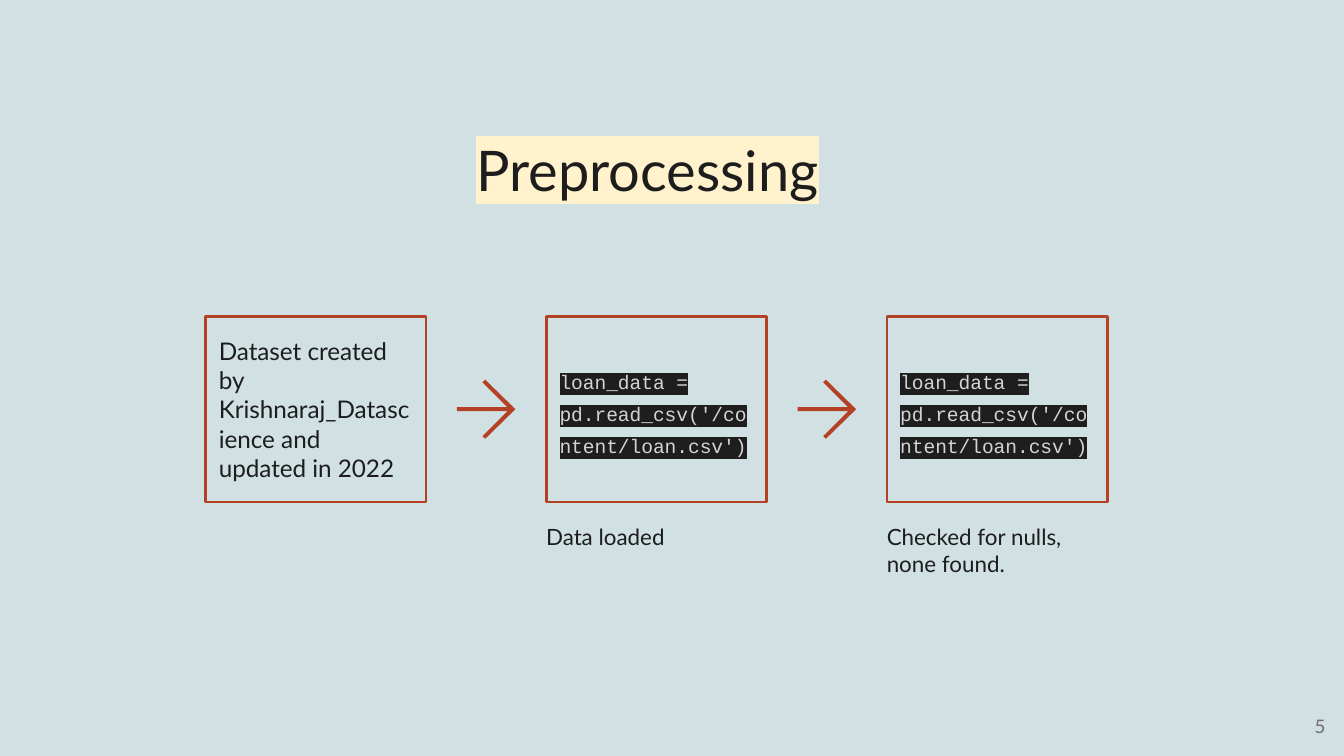
"""Build the Preprocessing slide: three boxed steps joined by arrows."""
from dataclasses import dataclass
from typing import Optional

import lxml.etree
import pptx
import pptx.dml.color
import pptx.enum.shapes
import pptx.enum.text
import pptx.oxml.ns
import pptx.util

RGBColor = pptx.dml.color.RGBColor
PX = 4572
SLIDE_WIDTH, SLIDE_HEIGHT = 2000, 1125
MARGIN = 20
BACKGROUND = RGBColor(0xD0, 0xE0, 0xE3)
ACCENT = RGBColor(0xB5, 0x41, 0x25)
INK = RGBColor(0x1D, 0x1D, 0x1D)
GREY = RGBColor(0x6F, 0x6F, 0x6F)
CODE_INK = RGBColor(0xD4, 0xD4, 0xD4)
CODE_BACK = RGBColor(0x1E, 0x1E, 0x1E)
CREAM = RGBColor(0xFF, 0xF2, 0xCC)

STEP_LEFT, STEP_TOP, STEP_PITCH = 306, 471, 507
STEP_WIDTH, STEP_HEIGHT = 328, 276
ARROW_OFFSET, ARROW_TOP = 374, 565
ARROW_POINTS = ((42, 0), (38, 4), (75, 41), (0, 41), (0, 47),
                (75, 47), (38, 84), (42, 88), (87, 44))
CAPTION_TOP, CAPTION_HEIGHT = 758, 204


@dataclass(frozen=True)
class Style:
    size: float
    color: RGBColor = INK
    font: str = "Lato"
    highlight: Optional[RGBColor] = None
    spacing: Optional[float] = None
    align: pptx.enum.text.PP_ALIGN = pptx.enum.text.PP_ALIGN.LEFT
    anchor: pptx.enum.text.MSO_ANCHOR = pptx.enum.text.MSO_ANCHOR.TOP


@dataclass(frozen=True)
class Step:
    text: str
    style: Style
    caption: str = ""


MIDDLE = pptx.enum.text.MSO_ANCHOR.MIDDLE
TITLE = Style(30, highlight=CREAM)
BODY = Style(13, anchor=MIDDLE)
CODE = Style(10.5, CODE_INK, "Courier New", CODE_BACK, 1.36, anchor=MIDDLE)
CAPTION = Style(12)
PAGE_NUMBER = Style(10, GREY, align=pptx.enum.text.PP_ALIGN.RIGHT, anchor=MIDDLE)
LOAD_CODE = "loan_data = pd.read_csv('/content/loan.csv')"
STEPS = (
    Step("Dataset created by Krishnaraj_Datascience and updated in 2022", BODY),
    Step(LOAD_CODE, CODE, "Data loaded"),
    Step(LOAD_CODE, CODE, "Checked for nulls, none found."),
)


def write(sp, text: str, style: Style) -> None:
    """Fill a shape with one styled paragraph."""
    qn = pptx.oxml.ns.qn
    tf = sp.text_frame
    tf.text = text
    tf.word_wrap = True
    tf.vertical_anchor = style.anchor
    tf.margin_left = tf.margin_right = MARGIN * PX
    tf.margin_top = tf.margin_bottom = MARGIN * PX
    p = tf.paragraphs[0]
    p.alignment = style.align
    if style.spacing:
        p.line_spacing = style.spacing
    r = p.runs[0]
    r.font.size = pptx.util.Pt(style.size)
    r.font.name = style.font
    r.font.color.rgb = style.color
    if style.highlight is not None:
        mark = lxml.etree.Element(qn("a:highlight"))
        lxml.etree.SubElement(mark, qn("a:srgbClr"), val=str(style.highlight))
        r.font._element.find(qn("a:solidFill")).addnext(mark)


def add_text(s, left: int, top: int, width: int, height: int,
             text: str, style: Style) -> None:
    """Add a text box."""
    sp = s.shapes.add_textbox(left * PX, top * PX, width * PX, height * PX)
    write(sp, text, style)


def add_step(s, left: int, step: Step) -> None:
    """Add an outlined box and its caption."""
    sp = s.shapes.add_shape(pptx.enum.shapes.MSO_SHAPE.RECTANGLE, left * PX,
                            STEP_TOP * PX, STEP_WIDTH * PX, STEP_HEIGHT * PX)
    sp.shadow.inherit = False
    sp.fill.background()
    sp.line.color.rgb = ACCENT
    sp.line.width = pptx.util.Pt(1.5)
    qn = pptx.oxml.ns.qn
    lxml.etree.SubElement(sp._element.spPr.find(qn("a:ln")), qn("a:round"))
    write(sp, step.text, step.style)
    if step.caption:
        add_text(s, left - MARGIN, CAPTION_TOP, STEP_WIDTH + 2 * MARGIN,
                 CAPTION_HEIGHT, step.caption, CAPTION)


def add_arrow(s, left: int) -> None:
    """Add a right-pointing arrow outline."""
    points = [(left + x, ARROW_TOP + y) for x, y in ARROW_POINTS]
    builder = s.shapes.build_freeform(*points[0], scale=PX)
    builder.add_line_segments(points[1:], close=True)
    sp = builder.convert_to_shape()
    sp.shadow.inherit = False
    sp.fill.solid()
    sp.fill.fore_color.rgb = ACCENT
    sp.line.fill.background()


def main() -> None:
    """Build and save the presentation."""
    prs = pptx.Presentation()
    prs.slide_width, prs.slide_height = SLIDE_WIDTH * PX, SLIDE_HEIGHT * PX
    s = prs.slides.add_slide(prs.slide_layouts[6])
    s.background.fill.solid()
    s.background.fill.fore_color.rgb = BACKGROUND
    add_text(s, 1872, 1037, 120, 86, "5", PAGE_NUMBER)
    lefts = [STEP_LEFT + i * STEP_PITCH for i in range(len(STEPS))]
    for left, step in zip(lefts, STEPS):
        add_step(s, left, step)
    for left in lefts[:-1]:
        add_arrow(s, left + ARROW_OFFSET)
    add_text(s, 689, 182, 596, 138, "Preprocessing", TITLE)
    prs.save("out.pptx")


if __name__ == "__main__":
    main()
